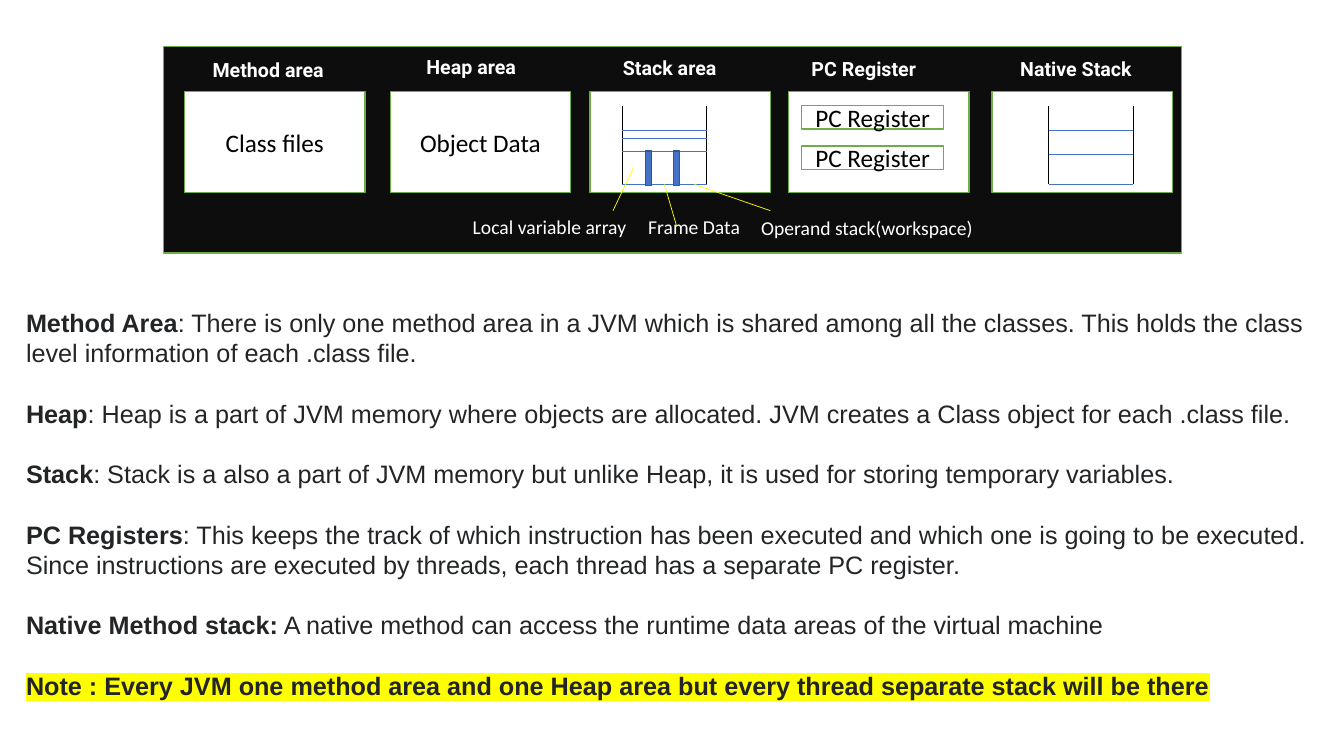
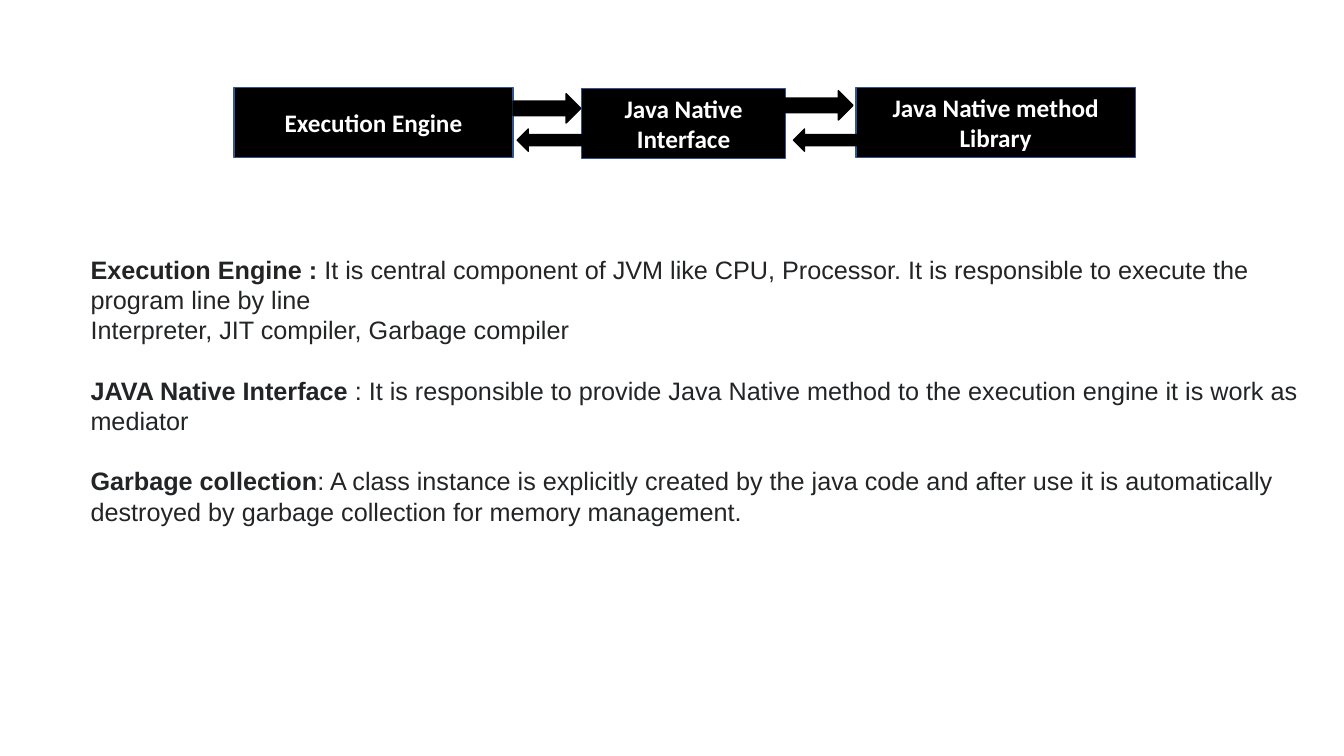
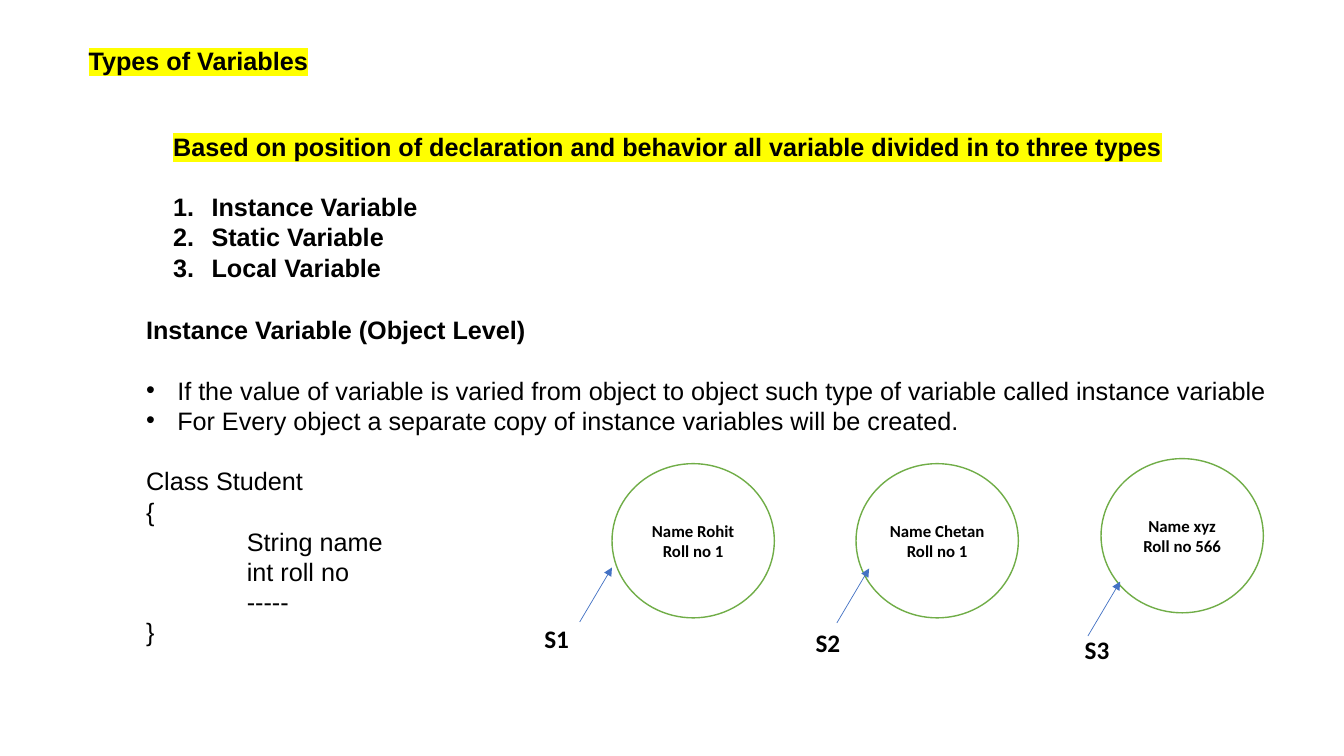
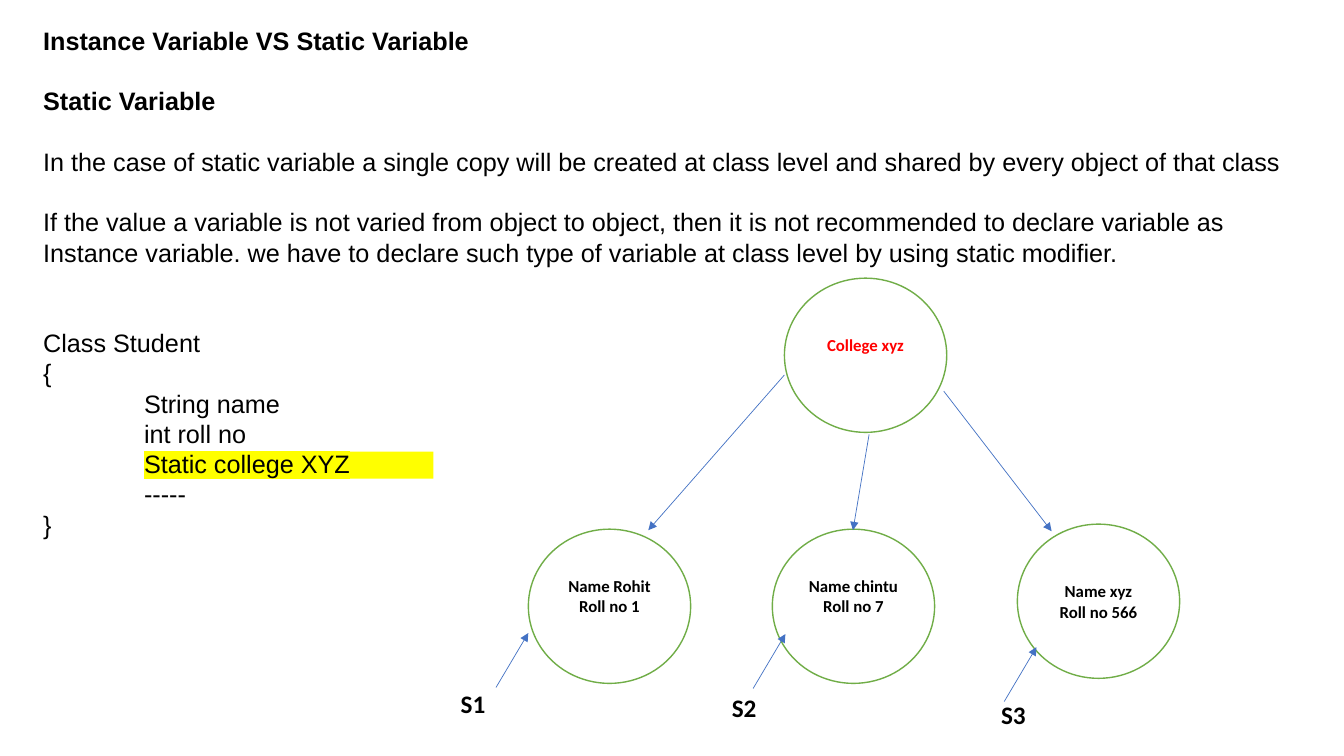
import dataclasses

import lxml.etree
import pptx
import pptx.dml.color
import pptx.enum.shapes
import pptx.enum.text
import pptx.oxml.ns
import pptx.util

Inches = pptx.util.Inches
Pt = pptx.util.Pt
qn = pptx.oxml.ns.qn
SHAPE = pptx.enum.shapes.MSO_SHAPE
ALIGN = pptx.enum.text.PP_ALIGN
ANCHOR = pptx.enum.text.MSO_ANCHOR

COLORS = {
    "black": "000000",
    "white": "FFFFFF",
    "panel": "0D0D0D",
    "ink": "222426",
    "green": "70AD47",
    "blue": "4472C4",
    "navy": "325491",
    "yellow": "FFFF00",
    "red": "FF0000",
}
LINE_PITCH = 21.6


@dataclasses.dataclass
class Para:
    text: str = ""
    lead: str = ""
    bold: bool = False
    mark: bool = False
    gap: int = 0
    indent: float = 0
    bullet: str = ""


def rgb(name):
    return pptx.dml.color.RGBColor.from_string(COLORS[name])


def add_run(p, text, size, font, color, bold=False, mark=False):
    r = p.add_run()
    r.text = text
    r.font.size = Pt(size)
    r.font.name = font
    r.font.bold = bold
    r.font.color.rgb = rgb(color)
    if mark:
        fill = r.font.fill._xPr.find(qn("a:solidFill"))
        highlight = lxml.etree.Element(qn("a:highlight"))
        lxml.etree.SubElement(highlight, qn("a:srgbClr"), val=COLORS["yellow"])
        fill.addnext(highlight)


def set_indent(p, indent, bullet):
    pPr = p._p.get_or_add_pPr()
    pPr.set("marL", str(Inches(indent)))
    if not bullet:
        return
    pPr.set("indent", str(-Inches(indent)))
    lxml.etree.SubElement(pPr, qn("a:buFont"), typeface="Arial")
    if bullet == "1.":
        lxml.etree.SubElement(pPr, qn("a:buAutoNum"), type="arabicPeriod")
    else:
        lxml.etree.SubElement(pPr, qn("a:buChar"), char=bullet)


def add_body(s, left, top, width, height, paras, color="black"):
    sp = s.shapes.add_textbox(Inches(left), Inches(top), Inches(width), Inches(height))
    tf = sp.text_frame
    tf.word_wrap = True
    for i, para in enumerate(paras):
        p = tf.add_paragraph() if i else tf.paragraphs[0]
        p.line_spacing = Pt(LINE_PITCH)
        p.space_before = Pt(LINE_PITCH * para.gap)
        if para.indent:
            set_indent(p, para.indent, para.bullet)
        if para.lead:
            add_run(p, para.lead, 18, "Arial", color, True)
        if para.text:
            add_run(p, para.text, 18, "Arial", color, para.bold, para.mark)


def add_label(s, left, top, width, height, text, size, font, color, bold=False):
    sp = s.shapes.add_textbox(Inches(left), Inches(top), Inches(width), Inches(height))
    tf = sp.text_frame
    tf.word_wrap = False
    tf.auto_size = pptx.enum.text.MSO_AUTO_SIZE.SHAPE_TO_FIT_TEXT
    add_run(tf.paragraphs[0], text, size, font, color, bold)


def add_box(s, left, top, width, height, fill="white", line="green", lines=(),
            size=18, color="black", bold=False, kind=SHAPE.RECTANGLE):
    sp = s.shapes.add_shape(kind, Inches(left), Inches(top), Inches(width), Inches(height))
    sp.shadow.inherit = False
    sp.fill.solid()
    sp.fill.fore_color.rgb = rgb(fill)
    sp.line.color.rgb = rgb(line)
    sp.line.width = Pt(1)
    tf = sp.text_frame
    tf.word_wrap = True
    tf.vertical_anchor = ANCHOR.MIDDLE
    for i, text in enumerate(lines):
        p = tf.add_paragraph() if i else tf.paragraphs[0]
        p.alignment = ALIGN.CENTER
        add_run(p, text, size, "Calibri", color, bold)
    return sp


def add_line(s, x1, y1, x2, y2, color="blue", arrow=False):
    cn = s.shapes.add_connector(pptx.enum.shapes.MSO_CONNECTOR.STRAIGHT,
                                Inches(x1), Inches(y1), Inches(x2), Inches(y2))
    cn.line.color.rgb = rgb(color)
    cn.line.width = Pt(0.5)
    if arrow:
        ln = cn.line._get_or_add_ln()
        lxml.etree.SubElement(ln, qn("a:tailEnd"), type="triangle")
    lxml.etree.SubElement(cn._element.spPr, qn("a:effectLst"))


def add_circle(s, left, top, lines, color="black", raised=False):
    sp = add_box(s, left, top, 1.61, 1.53, lines=lines, size=12, color=color,
                 bold=True, kind=SHAPE.FLOWCHART_CONNECTOR)
    if raised:
        sp.text_frame.margin_bottom = Inches(0.25)


def add_stack(s, left, levels):
    right = left + 0.84
    for x in (left, right):
        add_line(s, x, 1.05, x, 1.83, "black")
    for y in levels:
        add_line(s, right, y, left, y)


def add_students(s, dx, dy, students):
    circles = [(6.07, 4.6), (8.49, 4.6), (10.92, 4.55)]
    labels = [(5.3, 6.13), (7.99, 6.17), (10.66, 6.24)]
    arrows = [(5.75, 6.17), (8.3, 6.18), (10.79, 6.31)]
    for i, (name, roll, raised) in enumerate(students):
        x, y = circles[i]
        add_circle(s, x + dx, y + dy, [f"Name {name}", f"Roll no {roll}"], raised=raised)
        x, y = labels[i]
        add_label(s, x + dx, y + dy, 0.45, 0.4, f"S{i + 1}", 18, "Calibri", "black", True)
        x, y = arrows[i]
        add_line(s, x + dx, y + dy, x + dx + 0.32, y + dy - 0.54, arrow=True)


def student_class(gap, extra=()):
    members = [Para("String name", indent=1), Para("int roll no", indent=1)]
    return [Para("Class Student", gap=gap), Para("{"), *members, *extra,
            Para("-----", indent=1), Para("}")]


def build_memory_areas(s):
    add_box(s, 1.62, 0.46, 10.1, 2.05, fill="panel")
    areas = [
        (1.83, 2.01, 0.53, 1.5, "Method area", ["Class files"]),
        (3.87, 4.13, 0.5, 1.27, "Heap area", ["Object Data"]),
        (5.85, 6.08, 0.51, 1.3, "Stack area", []),
        (7.82, 7.95, 0.52, 1.35, "PC Register", []),
        (9.84, 10.02, 0.52, 1.45, "Native Stack", []),
    ]
    for left, title_left, title_top, title_width, title, lines in areas:
        add_box(s, left, 0.91, 1.79, 1, lines=lines)
        add_label(s, title_left, title_top, title_width, 0.34, title, 14, "Roboto", "white", True)

    add_stack(s, 6.17, [1.29, 1.37, 1.5, 1.83])
    add_stack(s, 10.4, [1.29, 1.53, 1.83])
    for left in (6.4, 6.68):
        add_box(s, left, 1.5, 0.06, 0.34, fill="blue", line="navy")
    for top in (1.05, 1.45):
        add_box(s, 7.95, top, 1.41, 0.23, lines=["PC Register"])

    parts = [
        (4.59, 2.08, 1.74, "Local variable array", (6.08, 2.09, 6.28, 1.67)),
        (6.33, 2.08, 1.12, "Frame Data", (6.59, 1.83, 6.71, 2.24)),
        (7.45, 2.09, 2.32, "Operand stack(workspace)", (6.89, 1.83, 7.64, 2.09)),
    ]
    for left, top, width, text, pointer in parts:
        add_label(s, left, top, width, 0.34, text, 14, "Calibri", "white")
        add_line(s, *pointer, color="yellow")

    add_body(s, 0.16, 3, 12.99, 4.34, [
        Para(": There is only one method area in a JVM which is shared among all the classes. "
             "This holds the class level information of each .class file.", "Method Area"),
        Para(": Heap is a part of JVM memory where objects are allocated. "
             "JVM creates a Class object for each .class file.", "Heap", gap=1),
        Para(": Stack is a also a part of JVM memory but unlike Heap, "
             "it is used for storing temporary variables.", "Stack", gap=1),
        Para(": This keeps the track of which instruction has been executed and which one is "
             "going to be executed. Since instructions are executed by threads, "
             "each thread has a separate PC register.", "PC Registers", gap=1),
        Para(" A native method can access the runtime data areas of the virtual machine",
             "Native Method stack:", gap=1),
        Para("Note : Every JVM one method area and one Heap area but every thread "
             "separate stack will be there", bold=True, mark=True, gap=1),
    ], "ink")


def build_execution_engine(s):
    add_body(s, 0.8, 2.47, 12.33, 2.83, [
        Para("It is central component of JVM like CPU, Processor. "
             "It is responsible to execute the program line by line", "Execution Engine : "),
        Para("Interpreter, JIT compiler, Garbage compiler"),
        Para(": It is responsible to provide Java Native method to the execution engine "
             "it is work as mediator", "JAVA Native Interface ", gap=1),
        Para(": A class instance is explicitly created by the java code and after use it is "
             "automatically destroyed by garbage collection for memory management.",
             "Garbage collection", gap=1),
    ], "ink")
    blocks = [
        (2.32, 0.87, 2.77, "Execution Engine"),
        (5.77, 0.88, 2.02, "Java Native Interface"),
        (8.49, 0.87, 2.77, "Java Native method Library"),
    ]
    for left, top, width, text in blocks:
        add_box(s, left, top, width, 0.69, "black", "navy", [text], color="white", bold=True)
    for left, top in ((5.09, 0.93), (7.79, 0.9)):
        add_box(s, left, top, 0.67, 0.29, "black", "black", kind=SHAPE.RIGHT_ARROW)
    for left in (5.13, 7.87):
        add_box(s, left, 1.28, 0.64, 0.22, "black", "black", kind=SHAPE.LEFT_ARROW)


def build_variable_types(s):
    add_body(s, 0.78, 0.4, 2.6, 0.4, [Para("Types of Variables", bold=True, mark=True)])
    kinds = ["Instance Variable", "Static Variable", "Local Variable"]
    add_body(s, 1.62, 1.25, 10.1, 1.62, [
        Para("Based on position of declaration and behavior all variable divided in to three types",
             bold=True, mark=True),
        *[Para(kind, bold=True, gap=int(i == 0), indent=0.38, bullet="1.")
          for i, kind in enumerate(kinds)],
    ])
    add_body(s, 1.35, 3.07, 11.41, 3.74, [
        Para("Instance Variable (Object Level)", bold=True),
        Para("If the value of variable is varied from object to object "
             "such type of variable called instance variable", gap=1, indent=0.31, bullet="•"),
        Para("For Every object a separate copy of instance variables will be created.",
             indent=0.31, bullet="•"),
        *student_class(1),
    ])
    add_students(s, 0, 0, [("Rohit", 1, False), ("Chetan", 1, False), ("xyz", 566, False)])


def build_static_variable(s):
    add_box(s, 1.43, 4.48, 2.87, 0.27, "yellow", "yellow").line.fill.background()
    add_body(s, 0.33, 0.2, 12.59, 5.55, [
        Para("Instance Variable VS Static Variable", bold=True),
        Para("Static Variable", bold=True, gap=1),
        Para("In the case of static variable a single copy will be created at class level "
             "and shared by every object of that class", gap=1),
        Para("If the value a variable is not varied from object to object, "
             "then it is not recommended to declare variable as", gap=1),
        Para("Instance variable. we have to declare such type of variable at class level "
             "by using static modifier."),
        *student_class(2, [Para("Static college XYZ", mark=True, indent=1)]),
    ])
    add_students(s, -0.83, 0.65, [("Rohit", 1, True), ("chintu", 7, True), ("xyz", 566, False)])
    add_circle(s, 7.78, 2.76, ["College xyz"], "red", raised=True)
    for arrow in ((7.78, 3.72, 6.43, 5.26), (8.62, 4.31, 8.46, 5.26), (9.36, 3.88, 10.43, 5.27)):
        add_line(s, *arrow, arrow=True)


def main():
    prs = pptx.Presentation()
    prs.slide_width = Inches(13.33)
    prs.slide_height = Inches(7.5)
    for build in (build_memory_areas, build_execution_engine,
                  build_variable_types, build_static_variable):
        build(prs.slides.add_slide(prs.slide_layouts[6]))
    prs.save("out.pptx")


if __name__ == "__main__":
    main()
